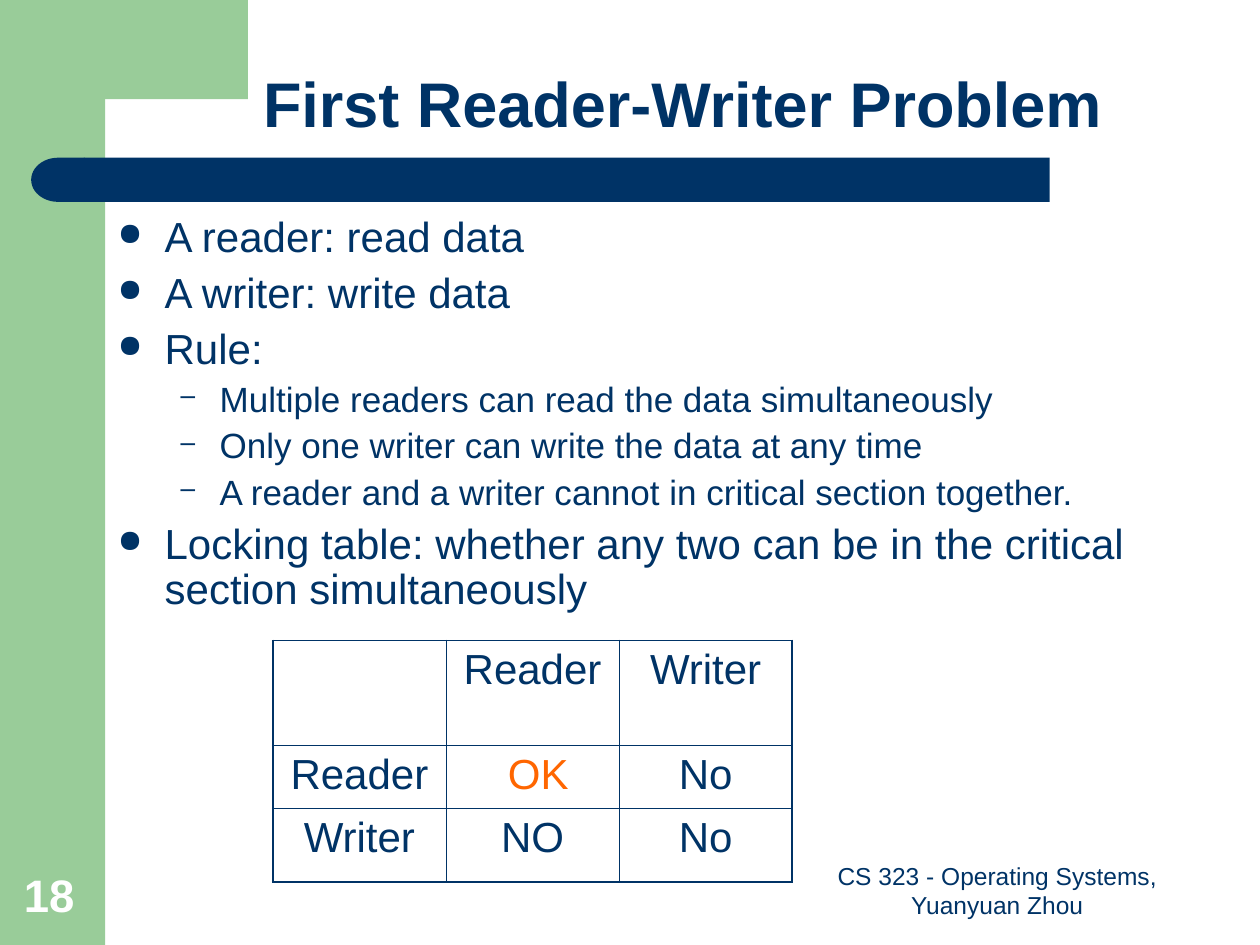
from dataclasses import dataclass

import pptx
import pptx.dml.color
import pptx.enum.shapes
import pptx.enum.text
import pptx.oxml.ns
import pptx.oxml.xmlchemy
import pptx.shapes.autoshape
import pptx.slide
import pptx.table
import pptx.text.text
import pptx.util
from lxml import etree

Cm = pptx.util.Cm
Pt = pptx.util.Pt
SHAPES = pptx.enum.shapes.MSO_SHAPE
ALIGN = pptx.enum.text.PP_ALIGN
ANCHOR = pptx.enum.text.MSO_ANCHOR
qn = pptx.oxml.ns.qn

COLORS = {"navy": "003366", "green": "99CC99", "orange": "FF6600", "white": "FFFFFF"}
FONT_NAME = "Arial"
THICK, THIN = Pt(1.08), Pt(0.45)


@dataclass(frozen=True)
class Box:
    """Position and size in centimetres."""
    left: float
    top: float
    width: float
    height: float

    def lengths(self) -> tuple:
        return Cm(self.left), Cm(self.top), Cm(self.width), Cm(self.height)


@dataclass(frozen=True)
class Block:
    box: Box
    shape_type: pptx.enum.shapes.MSO_SHAPE
    color: str


@dataclass(frozen=True)
class Label:
    text: str
    box: Box
    size: int
    color: str = "navy"
    bold: bool = False
    alignment: ALIGN = ALIGN.CENTER
    line_spacing: float = 1.0


@dataclass(frozen=True)
class BulletStyle:
    level: int
    character: str
    size: int
    margin: float
    hanging: float
    space_before: int


TOPIC = BulletStyle(0, "●", 24, 0.95, 0.95, 6)
DETAIL = BulletStyle(1, "–", 20, 2.06, 0.79, 5)

SIDEBAR = Block(Box(0, 0, 2.12, 19.05), SHAPES.RECTANGLE, "green")
TITLE_BAR = Block(Box(1.69, 3.18, 19.47, 0.89), SHAPES.ROUNDED_RECTANGLE, "navy")
BAR_CAP = Block(Box(0.63, 3.18, 1.08, 0.89), SHAPES.FLOWCHART_DELAY, "navy")
CORNER_POINTS = [
    (1.27, 0), (5.08, 0), (5.08, 2.12), (2.12, 2.12), (1.96, 2.16), (1.87, 2.24),
    (1.8, 2.34), (1.76, 2.48), (1.73, 2.64), (1.7, 2.95), (1.7, 3.25), (1.27, 3.25),
]

TITLE = Label("First Reader-Writer Problem", Box(2.95, 0.2, 21.62, 2.77), 36,
              bold=True, line_spacing=0.9)
FOOTER = Label("CS 323 - Operating Systems, Yuanyuan Zhou",
               Box(16.08, 17.35, 8.05, 1.32), 14)
SLIDE_NUMBER = Label("18", Box(0.23, 17.35, 1.63, 1.35), 26, color="white",
                     bold=True, alignment=ALIGN.LEFT)

BODY_BOX = Box(2.12, 4.23, 21.38, 8.47)
BULLETS = [
    ("A reader: read data", TOPIC),
    ("A writer: write data", TOPIC),
    ("Rule:", TOPIC),
    ("Multiple readers can read the data simultaneously", DETAIL),
    ("Only one writer can write the data at any time", DETAIL),
    ("A reader and a writer cannot in critical section together.", DETAIL),
    ("Locking table: whether any two can be in the critical section simultaneously", TOPIC),
]

LOCKS = [["", "Reader", "Writer"], ["Reader", " OK", "No"], ["Writer", "NO", "No"]]
LOCKS_BOX = Box(5.5, 12.91, 10.47, 4.87)
ROW_HEIGHTS = [2.12, 1.27, 1.48]
ALLOWED_CELL = (1, 1)


def rgb(color: str) -> pptx.dml.color.RGBColor:
    return pptx.dml.color.RGBColor.from_string(COLORS[color])


def set_attributes(target: object, values: dict) -> None:
    for name, value in values.items():
        setattr(target, name, value)


def set_font(font: pptx.text.text.Font, size: int, color: str, bold: bool = False) -> None:
    set_attributes(font, {"name": FONT_NAME, "size": Pt(size), "bold": bold})
    font.color.rgb = rgb(color)


def paint(shape: pptx.shapes.autoshape.Shape, color: str) -> None:
    """Give a shape a flat fill without line or shadow."""
    shape.shadow.inherit = False
    shape.fill.solid()
    shape.fill.fore_color.rgb = rgb(color)
    shape.line.fill.background()


def add_block(slide: pptx.slide.Slide, block: Block) -> pptx.shapes.autoshape.Shape:
    shape = slide.shapes.add_shape(block.shape_type, *block.box.lengths())
    paint(shape, block.color)
    return shape


def add_corner(slide: pptx.slide.Slide) -> None:
    builder = slide.shapes.build_freeform(*CORNER_POINTS[0], scale=Cm(1))
    builder.add_line_segments(CORNER_POINTS[1:], close=True)
    paint(builder.convert_to_shape(), "green")


def add_text_frame(slide: pptx.slide.Slide, box: Box, anchor: ANCHOR) -> pptx.text.text.TextFrame:
    frame = slide.shapes.add_textbox(*box.lengths()).text_frame
    set_attributes(frame, {"word_wrap": True, "vertical_anchor": anchor})
    return frame


def add_label(slide: pptx.slide.Slide, label: Label) -> None:
    paragraph = add_text_frame(slide, label.box, ANCHOR.BOTTOM).paragraphs[0]
    set_attributes(paragraph, {"text": label.text, "alignment": label.alignment,
                               "line_spacing": label.line_spacing})
    set_font(paragraph.font, label.size, label.color, label.bold)


def add_bullet(paragraph: pptx.text.text._Paragraph, style: BulletStyle) -> None:
    properties = paragraph._p.get_or_add_pPr()
    properties.set("marL", str(Cm(style.margin)))
    properties.set("indent", str(-Cm(style.hanging)))
    bullet_color = etree.SubElement(properties, qn("a:buClr"))
    etree.SubElement(bullet_color, qn("a:srgbClr"), val=COLORS["navy"])
    etree.SubElement(properties, qn("a:buSzPct"), val="75000")
    etree.SubElement(properties, qn("a:buChar"), char=style.character)


def add_body(slide: pptx.slide.Slide) -> None:
    frame = add_text_frame(slide, BODY_BOX, ANCHOR.TOP)
    for index, (text, style) in enumerate(BULLETS):
        paragraph = frame.add_paragraph() if index else frame.paragraphs[0]
        add_bullet(paragraph, style)
        set_attributes(paragraph, {"text": text, "level": style.level, "line_spacing": 0.9,
                                   "space_before": Pt(style.space_before if index else 0)})
        set_font(paragraph.font, style.size, "navy")


def add_borders(cell: pptx.table._Cell, row: int, column: int) -> None:
    """Draw thick lines on the outside of the table and thin ones inside."""
    last = len(LOCKS) - 1
    outer_sides = {"L": column == 0, "R": column == last, "T": row == 0, "B": row == last}
    properties = cell._tc.get_or_add_tcPr()
    for side, is_outer in outer_sides.items():
        line = etree.SubElement(properties, qn(f"a:ln{side}"), w=str(THICK if is_outer else THIN))
        fill = etree.SubElement(line, qn("a:solidFill"))
        etree.SubElement(fill, qn("a:srgbClr"), val=COLORS["navy"])


def add_locking_table(slide: pptx.slide.Slide) -> None:
    size = len(LOCKS)
    table = slide.shapes.add_table(size, size, *LOCKS_BOX.lengths()).table
    set_attributes(table, {"first_row": False, "horz_banding": False})
    for row, height in enumerate(ROW_HEIGHTS):
        table.rows[row].height = Cm(height)
        for column, text in enumerate(LOCKS[row]):
            cell = table.cell(row, column)
            add_borders(cell, row, column)
            cell.fill.background()
            paragraph = cell.text_frame.paragraphs[0]
            set_attributes(paragraph, {"text": text, "alignment": ALIGN.CENTER})
            set_font(paragraph.font, 24, "orange" if (row, column) == ALLOWED_CELL else "navy")


def main() -> None:
    presentation = pptx.Presentation()
    set_attributes(presentation, {"slide_width": Cm(25.4), "slide_height": Cm(19.05)})
    slide = presentation.slides.add_slide(presentation.slide_layouts[6])
    add_block(slide, SIDEBAR)
    add_corner(slide)
    add_block(slide, TITLE_BAR).adjustments[0] = 0
    add_block(slide, BAR_CAP).element.spPr.find(qn("a:xfrm")).set("flipH", "1")
    add_label(slide, TITLE)
    add_body(slide)
    add_locking_table(slide)
    add_label(slide, FOOTER)
    add_label(slide, SLIDE_NUMBER)
    presentation.save("out.pptx")


if __name__ == "__main__":
    main()
